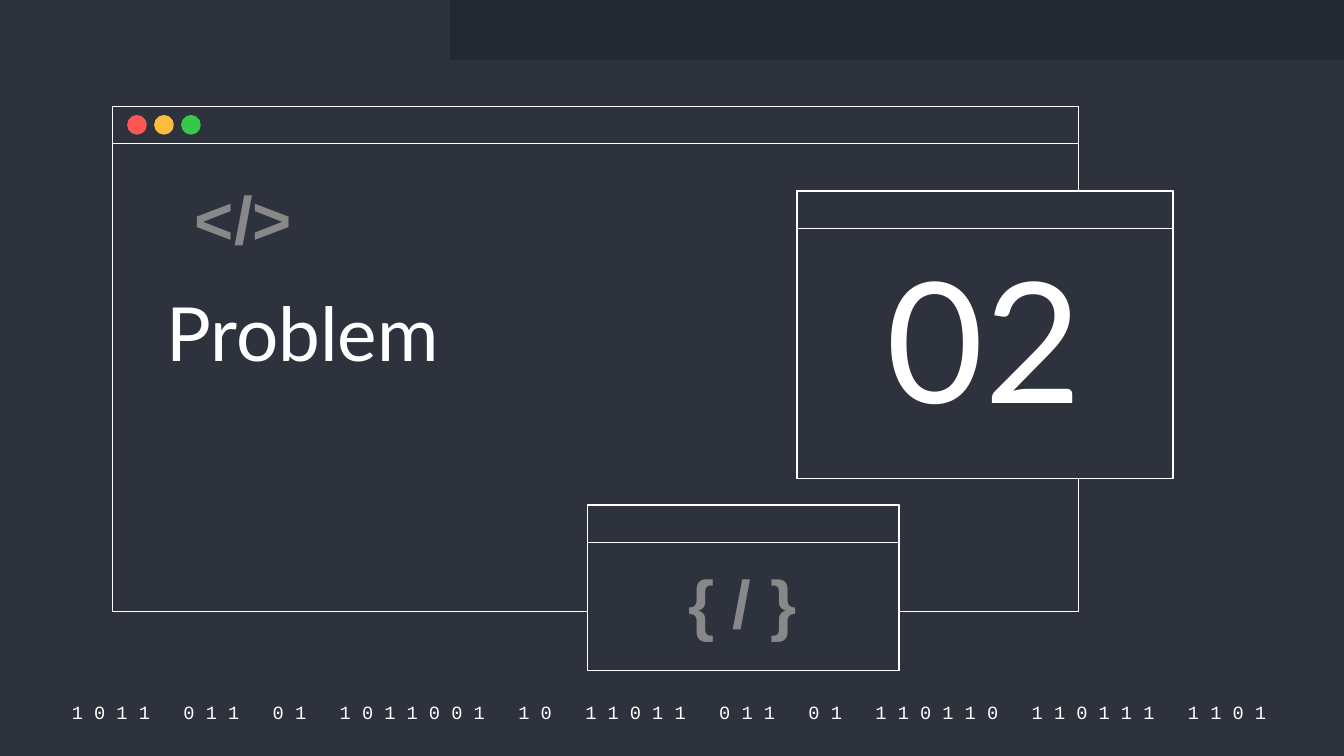
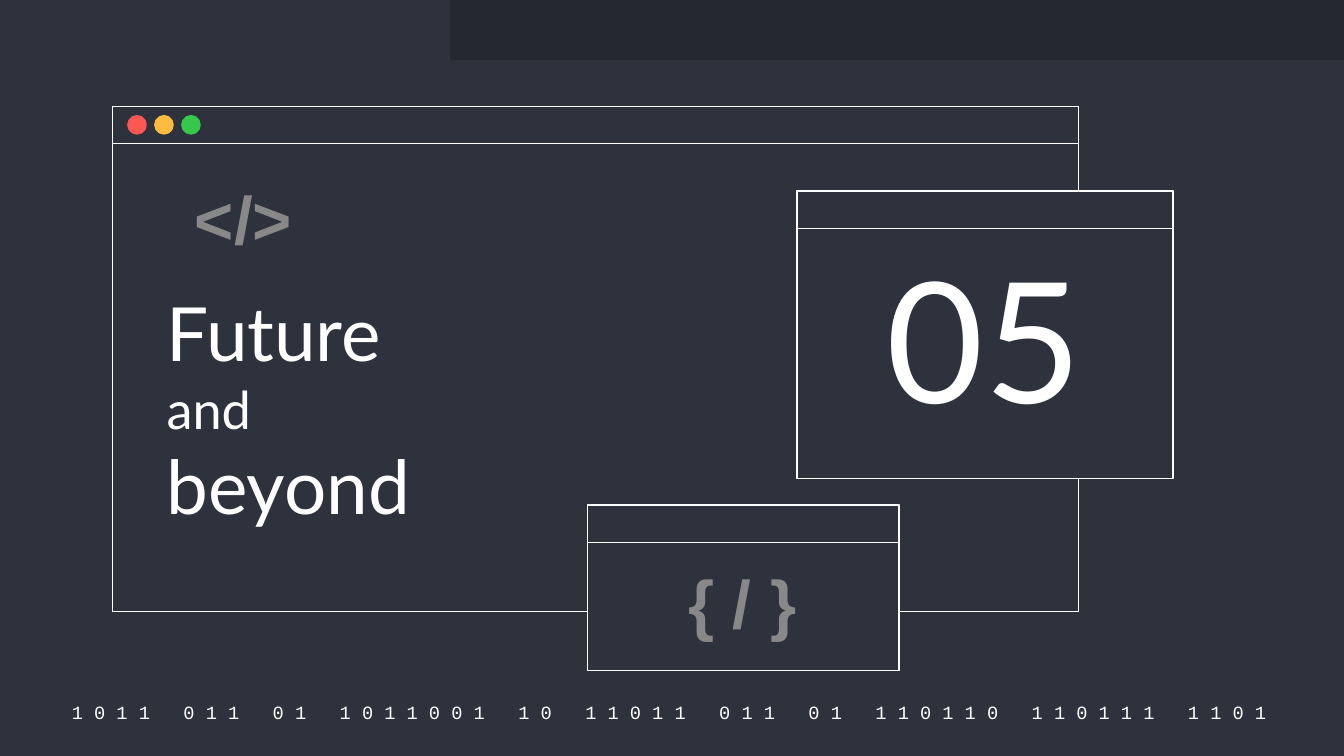
"""Build two dark section slides with code windows and a binary footer."""
from lxml import etree
from pptx import Presentation
from pptx import util as u
from pptx.dml.color import RGBColor
from pptx.enum import shapes, text
from pptx.oxml import ns

DARK, BAND, WHITE, GREY = "2D323C", "242830", "FFFFFF", "888888"
DOTS = ["FC5753", "FDBB40", "36C84B"]
WINS = [(2.13, 2.01, 18.26, 9.55), (11.1, 9.55, 5.89, 3.12), (15.06, 3.61, 7.11, 5.44)]
BAR = 0.71
ICONS = [
    ("</>", (2.77, 3.28, 3, 1.57), text.PP_ALIGN.RIGHT),
    ("{ / }", (12.34, 10.54, 3.38, 2.08), text.PP_ALIGN.CENTER),
]
WORDS = "1011 011 01 1011001 10 11011 011 01 110110 110111 1101"
BITS = "   ".join(" ".join(word) for word in WORDS.split()) + " "
PAGES = [
    ("02", [("Problem", 40)]),
    ("05", [("Future ", 40), ("and", 28), ("beyond", 40)]),
]
RECT, OVAL = shapes.MSO_SHAPE.RECTANGLE, shapes.MSO_SHAPE.OVAL
LEFT, MID = text.PP_ALIGN.LEFT, text.PP_ALIGN.CENTER
TOP, CENTRE, LOW = text.MSO_ANCHOR.TOP, text.MSO_ANCHOR.MIDDLE, text.MSO_ANCHOR.BOTTOM
rgb = RGBColor.from_string


def draw(group, kind, place, fill, line=None, width=0.75):
    shape = group.add_shape(kind, *map(u.Cm, place))
    shape.shadow.inherit = False
    shape.fill.solid()
    shape.fill.fore_color.rgb = rgb(fill)
    if line:
        shape.line.color.rgb = rgb(line)
        shape.line.width = u.Pt(width)
    else:
        shape.line.fill.background()


def write(box, place, lines, face="Lato", tint=WHITE, align=LEFT, anchor=TOP, gap=1.0, bold=False):
    box.left, box.top, box.width, box.height = map(u.Cm, place)
    frame = box.text_frame
    frame.word_wrap = True
    frame.auto_size = text.MSO_AUTO_SIZE.NONE
    frame.vertical_anchor = anchor
    frame.margin_left = frame.margin_right = u.Cm(0.25)
    frame.margin_top = frame.margin_bottom = u.Cm(0.25)
    para = frame.paragraphs[0]
    if box.is_placeholder:
        props = para._p.get_or_add_pPr()
        props.set("marL", "0")
        props.set("indent", "0")
        etree.SubElement(props, ns.qn("a:buNone"))
    para.alignment = align
    para.line_spacing = gap
    para.space_before = u.Pt(0)
    for i, (words, size) in enumerate(lines):
        if i:
            para.add_line_break()
        run = para.add_run()
        run.text = words
        run.font.name = face
        run.font.size = u.Pt(size)
        run.font.bold = bold
        run.font.color.rgb = rgb(tint)


deck = Presentation()
deck.slide_width, deck.slide_height = u.Cm(25.4), u.Cm(14.29)
back = deck.slide_master.background.fill
back.solid()
back.fore_color.rgb = rgb(DARK)

for num, lines in PAGES:
    slide = deck.slides.add_slide(deck.slide_layouts[1])
    items = slide.shapes
    title, count = items.title, slide.placeholders[1]

    write(items.add_textbox(0, 0, 0, 0), (0.97, 13.21, 23.55, 0.51), [(BITS, 10)],
          face="Courier New", align=MID, anchor=CENTRE)
    draw(items, RECT, (8.51, 0, 16.89, 1.14), BAND)

    for left, top, wide, high in WINS:
        group = items.add_group_shape().shapes
        for tall in (high, BAR):
            draw(group, RECT, (left, top, wide, tall), DARK, WHITE)

    for holder in (title, count):
        items.element.append(holder.element)
    write(title, (2.9, 5.18, 10.95, 2.29), lines)
    write(count, (15.52, 4.32, 6.17, 4.19), [(num, 90)], align=MID, anchor=LOW)

    for sign, place, align in ICONS:
        write(items.add_textbox(0, 0, 0, 0), place, [(sign, 36)],
              face="Arial", tint=GREY, align=align, gap=0.9, bold=True)

    group = items.add_group_shape().shapes
    for i, tint in enumerate(DOTS):
        draw(group, OVAL, (2.44 + 0.51 * i, 2.21, 0.3, 0.3), tint, tint, 2)

deck.save("out.pptx")
